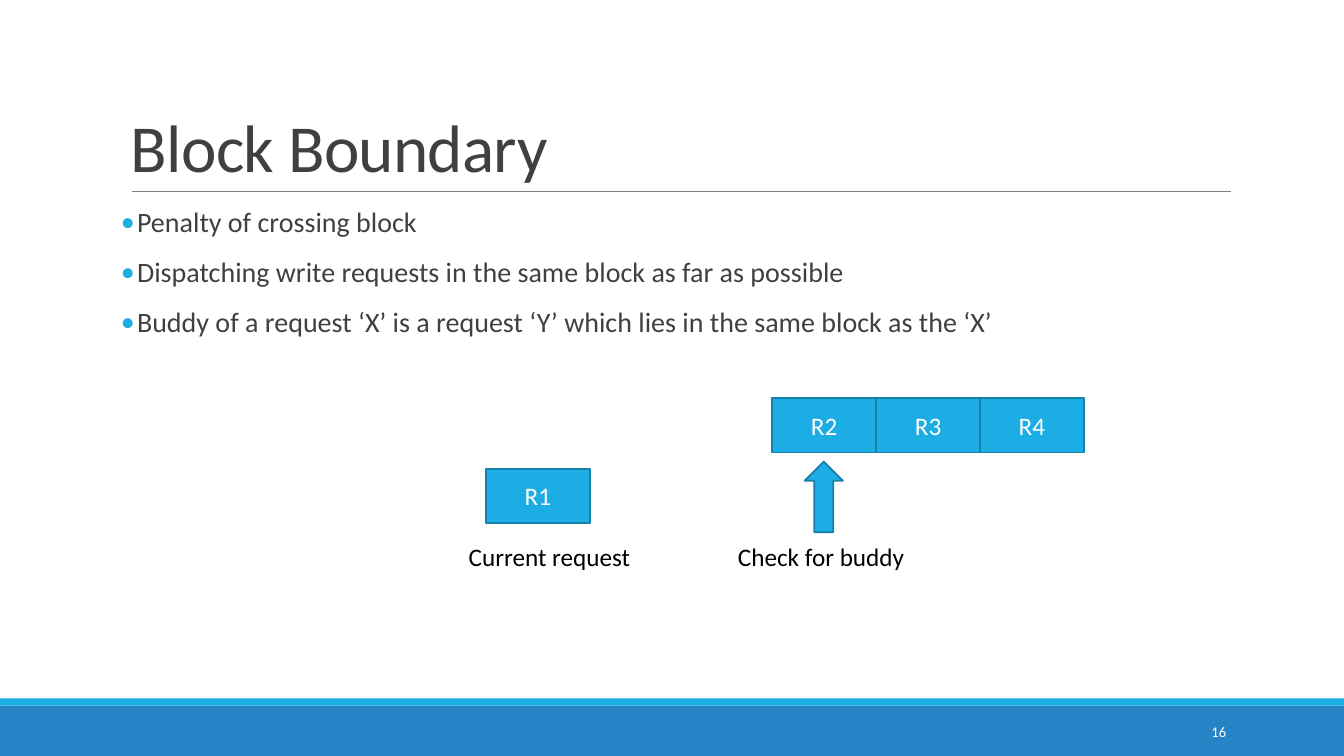
from lxml.etree import SubElement
from pptx import Presentation
from pptx.dml.color import RGBColor
from pptx.enum.shapes import MSO_CONNECTOR, MSO_SHAPE
from pptx.enum.text import MSO_ANCHOR, PP_ALIGN
from pptx.oxml.ns import qn
from pptx.util import Inches, Pt

COLORS = {"band": "2683C6", "accent": "1CADE4", "edge": "1580A9", "rule": "808080",
          "ink": "404040", "black": "000000", "white": "FFFFFF"}
WIDTH, HEIGHT = 13.33, 7.5
LEFT, CONTENT_W = 1.2, 11
BOX_W, BOX_H = 1.03, 0.54
BULLET_INDENT = Inches(0.16)

deck = Presentation()
deck.slide_width, deck.slide_height = Inches(WIDTH), Inches(HEIGHT)
slide = deck.slides.add_slide(deck.slide_layouts[6])


def add_filled(kind, box, fill, edge=None):
    shape = slide.shapes.add_shape(kind, *map(Inches, box))
    shape.shadow.inherit = False
    shape.fill.solid()
    shape.fill.fore_color.rgb = RGBColor.from_string(COLORS[fill])
    if edge:
        shape.line.color.rgb = RGBColor.from_string(COLORS[edge])
        shape.line.width = Pt(1.25)
    else:
        shape.line.fill.background()
    return shape


def write(shape, text, size, color, align=PP_ALIGN.LEFT, anchor=MSO_ANCHOR.TOP):
    frame = shape.text_frame
    frame.text = text
    frame.word_wrap = True
    frame.vertical_anchor = anchor
    for paragraph in frame.paragraphs:
        paragraph.alignment = align
        for run in paragraph.runs:
            run.font.name, run.font.size = "Calibri", Pt(size)
            run.font.color.rgb = RGBColor.from_string(COLORS[color])
    return frame


# Footer bands and the rule under the title
add_filled(MSO_SHAPE.RECTANGLE, (0, 7, WIDTH, 0.5), "band")
add_filled(MSO_SHAPE.RECTANGLE, (0, 6.93, WIDTH, 0.07), "accent")
title_rule = slide.shapes.add_connector(
    MSO_CONNECTOR.STRAIGHT, Inches(1.31), Inches(1.9), Inches(12.21), Inches(1.9))
title_rule.line.color.rgb = RGBColor.from_string(COLORS["rule"])
title_rule.line.width = Pt(0.5)
SubElement(title_rule._element.spPr, qn("a:effectLst"))

# Title
title = slide.shapes.add_textbox(*map(Inches, (LEFT, 0.31, CONTENT_W, 1.59)))
heading = write(title, "Block Boundary", 48, "ink", anchor=MSO_ANCHOR.BOTTOM).paragraphs[0]
heading.line_spacing = 0.85
heading.runs[0].font._element.set("spc", "-50")

# Bullet points
points = slide.shapes.add_textbox(*map(Inches, (LEFT, 2.02, CONTENT_W, 4.4)))
points_frame = write(points, "\n".join([
    "Penalty of crossing block",
    "Dispatching write requests in the same block as far as possible",
    "Buddy of a request ‘X’ is a request ‘Y’ which lies in the same block as the ‘X’",
]), 20, "ink")
points_frame.margin_left = points_frame.margin_right = 0
for index, point in enumerate(points_frame.paragraphs):
    point.line_spacing = 0.9
    point.space_before = Pt(12 if index else 0)
    point.space_after = Pt(2)
    properties = point._p.get_or_add_pPr()
    properties.set("marL", str(BULLET_INDENT))
    properties.set("indent", str(-BULLET_INDENT))
    bullet_color = SubElement(properties, qn("a:buClr"))
    SubElement(bullet_color, qn("a:srgbClr"), val=COLORS["accent"])
    SubElement(properties, qn("a:buFont"), typeface="Calibri")
    SubElement(properties, qn("a:buChar"), char="•")

# Request boxes: R1 alone, then R4 to R2 side by side in one block
requests = [("R1", 4.82, 4.65)]
requests += [(f"R{n}", 7.66 + (n - 2) * BOX_W, 3.95) for n in (4, 3, 2)]
for name, left, top in requests:
    request = add_filled(MSO_SHAPE.RECTANGLE, (left, top, BOX_W, BOX_H), "accent", "edge")
    write(request, name, 18, "white", PP_ALIGN.CENTER, MSO_ANCHOR.MIDDLE)

# Arrow to the buddy and the captions
add_filled(MSO_SHAPE.UP_ARROW, (7.98, 4.58, 0.38, 0.7), "accent", "edge")
for caption, left, width in [("Current request", 4.55, 1.91), ("Check for buddy", 7.22, 1.99)]:
    label = slide.shapes.add_textbox(*map(Inches, (left, 5.32, width, 0.4)))
    write(label, caption, 18, "black")

# Slide number
number = slide.shapes.add_textbox(*map(Inches, (10.83, 7.06, 1.43, 0.4)))
write(number, "16", 10.5, "white", PP_ALIGN.RIGHT, MSO_ANCHOR.MIDDLE)

deck.save("out.pptx")
